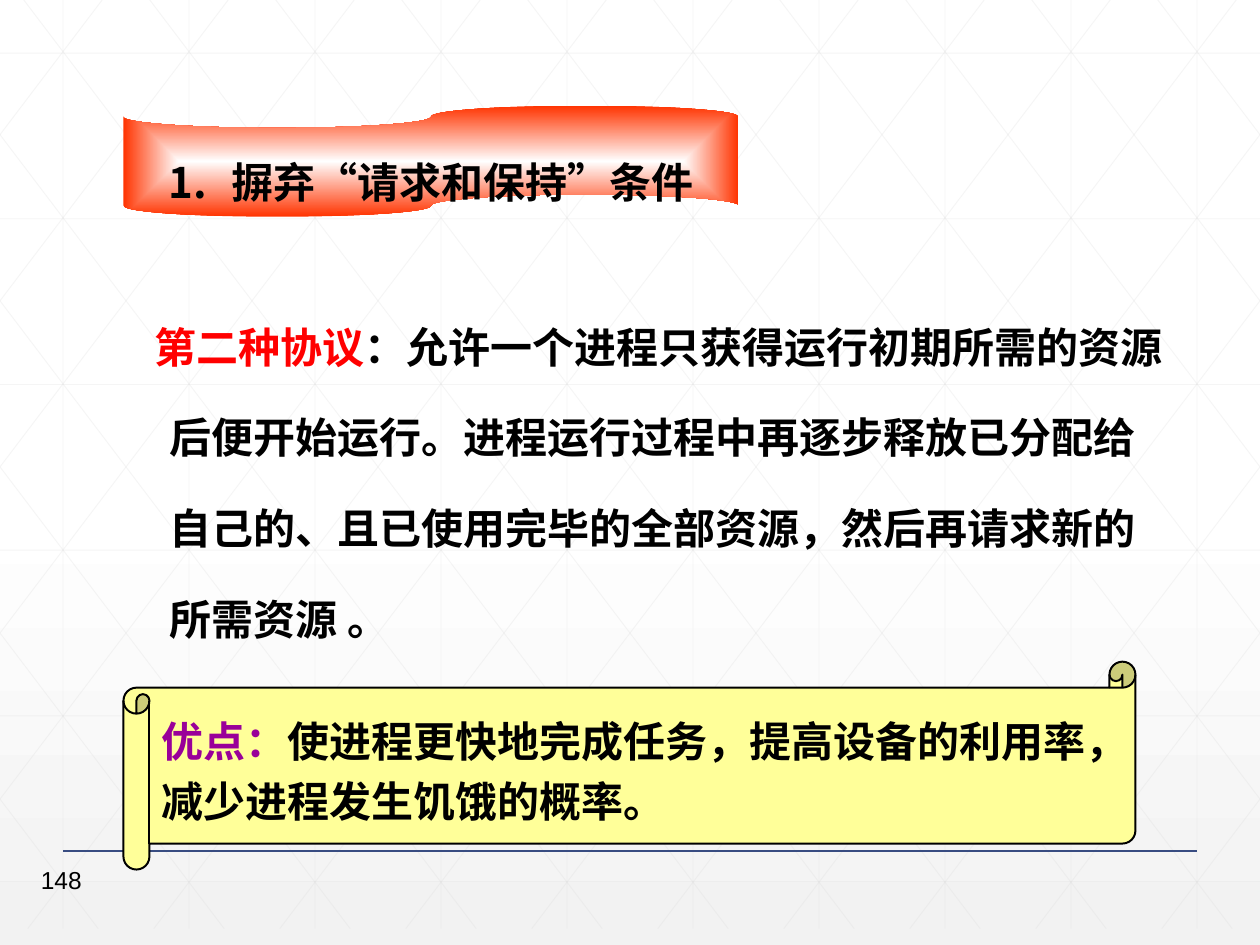
from lxml.etree import SubElement
from pptx import Presentation
from pptx.dml.color import RGBColor
from pptx.enum.shapes import MSO_CONNECTOR, MSO_SHAPE
from pptx.enum.text import MSO_ANCHOR, MSO_AUTO_SIZE, PP_ALIGN
from pptx.oxml import parse_xml
from pptx.oxml.ns import nsdecls, qn
from pptx.util import Cm, Pt

WIDE, HIGH = 25.4, 19.05
TITLE = "摒弃“请求和保持”条件"
BODY = [
    [("第二种协议", "FF0000"),
     ("：允许一个进程只获得运行初期所需的资源后便开始运行。"
      "进程运行过程中再逐步释放已分配给自己的、且已使用完毕的全部资源，"
      "然后再请求新的所需资源 。", "000000")],
]
GAIN = [
    [("优点：", "990099"),
     ("使进程更快地完成任务，提高设备的利用率，", "000000")],
    [("减少进程发生饥饿的概率。", "000000")],
]
PAGE = [[("148", "000000")]]
TAPE = (2.49, 2.13, 12.4, 2.24)
SCROLL = (2.49, 13.34, 20.4, 4.19)
TEXT = (1.9, 5.54, 22, 7.65)
FOOT = (0.3, 17.32, 1.6, 1.27)
STEP, ROW, END = 2.54, 3.34, 18.72
LEAN, RUN = 0.48, 14.2


def tint(text):
    return RGBColor.from_string(text)


def place(box):
    return [Cm(n) for n in box]


def line(shapes, start, end, color, width, alpha=None):
    link = shapes.add_connector(MSO_CONNECTOR.STRAIGHT, *place(start + end))
    link.line.color.rgb = tint(color)
    link.line.width = Pt(width)
    props = link._element.spPr
    if alpha:
        shade = next(props.iter(qn("a:srgbClr")))
        SubElement(shade, qn("a:alpha")).set("val", str(alpha * 1000))
    SubElement(props, qn("a:effectLst"))


def blend(fill, root, stops, kind):
    fill.solid()
    old = next(root.iter(qn("a:solidFill")))
    marks = "".join(f'<a:gs pos="{pos * 1000}"><a:srgbClr val="{color}"/></a:gs>'
                    for pos, color in stops)
    new = parse_xml(f'<a:gradFill {nsdecls("a")} rotWithShape="1">'
                    f'<a:gsLst>{marks}</a:gsLst>{kind}</a:gradFill>')
    old.getparent().replace(old, new)


def write(frame, paras, size=24, bold=True, space=None, align=PP_ALIGN.LEFT):
    for i, runs in enumerate(paras):
        para = frame.paragraphs[0] if i == 0 else frame.add_paragraph()
        para.alignment = align
        if space:
            para.line_spacing = space
        font = para.font
        font.name, font.size, font.bold = "Arial", Pt(size), bold
        for text, color in runs:
            run = para.add_run()
            run.text = text
            run.font.color.rgb = tint(color)


def hang(para, left, first):
    props = para._p.get_or_add_pPr()
    props.set("marL", str(Cm(left)))
    props.set("indent", str(Cm(first)))
    return props


def grid(shapes):
    pairs = [((STEP * (i + 0.5), 0), (STEP * (i + 0.5), END)) for i in range(10)]
    pairs += [((0, 1.07 + ROW * i), (WIDE, 1.07 + ROW * i)) for i in range(6)]
    for i in range(-5, 10):
        top = LEAN + STEP * i
        ends = [(x, (x - top) * END / RUN)
                for x in (max(top, 0), min(top + RUN, WIDE))]
        pairs += [ends, [(WIDE - x, y) for x, y in ends]]
    for start, end in pairs:
        line(shapes, start, end, "D9D9D9", 0.5, 25)


def label(shapes, box, paras, **look):
    frame = shapes.add_textbox(*place(box)).text_frame
    frame.word_wrap = True
    write(frame, paras, **look)
    return frame


def main():
    """Build the slide on the second protocol and save it."""
    deck = Presentation()
    deck.slide_width, deck.slide_height = Cm(WIDE), Cm(HIGH)
    slide = deck.slides.add_slide(deck.slide_layouts[5])
    shapes = slide.shapes
    blend(slide.background.fill, slide._element,
          [(0, "FFFFFF"), (53, "FFFFFF"), (100, "F2F2F2")],
          '<a:lin ang="5400000" scaled="0"/>')
    grid(shapes)
    line(shapes, (1.27, 17.15), (24.13, 17.15), "384C81", 1)
    label(shapes, FOOT, PAGE, size=14, bold=False, align=PP_ALIGN.RIGHT)
    body = label(shapes, TEXT, BODY, space=1.8)
    hang(body.paragraphs[0], 1.27, -0.3)

    tape = shapes.add_shape(MSO_SHAPE.WAVE, *place(TAPE))
    tape._element.spPr.find(qn("a:prstGeom")).set("prst", "flowChartPunchedTape")
    tape.shadow.inherit = False
    tape.line.fill.background()
    blend(tape.fill, tape._element.spPr, [(0, "FFFFFF"), (100, "FF3300")],
          '<a:path path="rect"><a:fillToRect l="50000" t="50000" '
          'r="50000" b="50000"/></a:path>')

    title = shapes.title
    title.left, title.top, title.width, title.height = place(TAPE)
    frame = title.text_frame
    frame.word_wrap, frame.auto_size = True, MSO_AUTO_SIZE.NONE
    frame.vertical_anchor = MSO_ANCHOR.MIDDLE
    props = hang(frame.paragraphs[0], 1.27, -1.27)
    SubElement(props, qn("a:buFont")).set("typeface", "+mj-lt")
    SubElement(props, qn("a:buAutoNum")).set("type", "arabicPeriod")
    write(frame, [[(TITLE, "000000")]], space=1.8, align=PP_ALIGN.CENTER)
    shapes._spTree.append(title._element)

    scroll = shapes.add_shape(MSO_SHAPE.HORIZONTAL_SCROLL, *place(SCROLL))
    scroll.shadow.inherit = False
    scroll.fill.solid()
    scroll.fill.fore_color.rgb = tint("FFFF99")
    scroll.line.color.rgb = tint("000000")
    scroll.line.width = Pt(1.13)
    scroll.text_frame.word_wrap = False
    scroll.text_frame.vertical_anchor = MSO_ANCHOR.MIDDLE
    write(scroll.text_frame, GAIN, space=1.2)
    deck.save("out.pptx")


if __name__ == "__main__":
    main()
